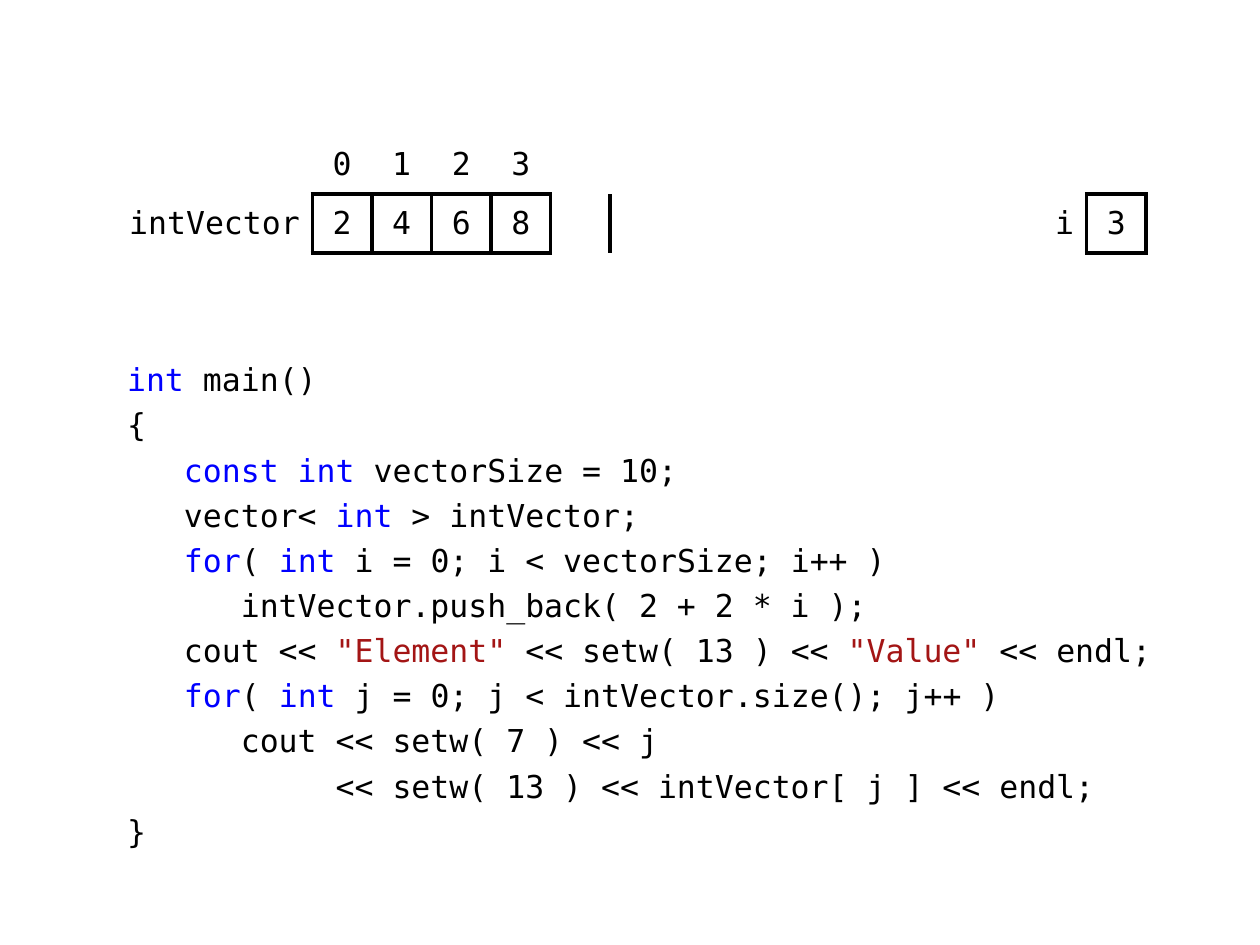
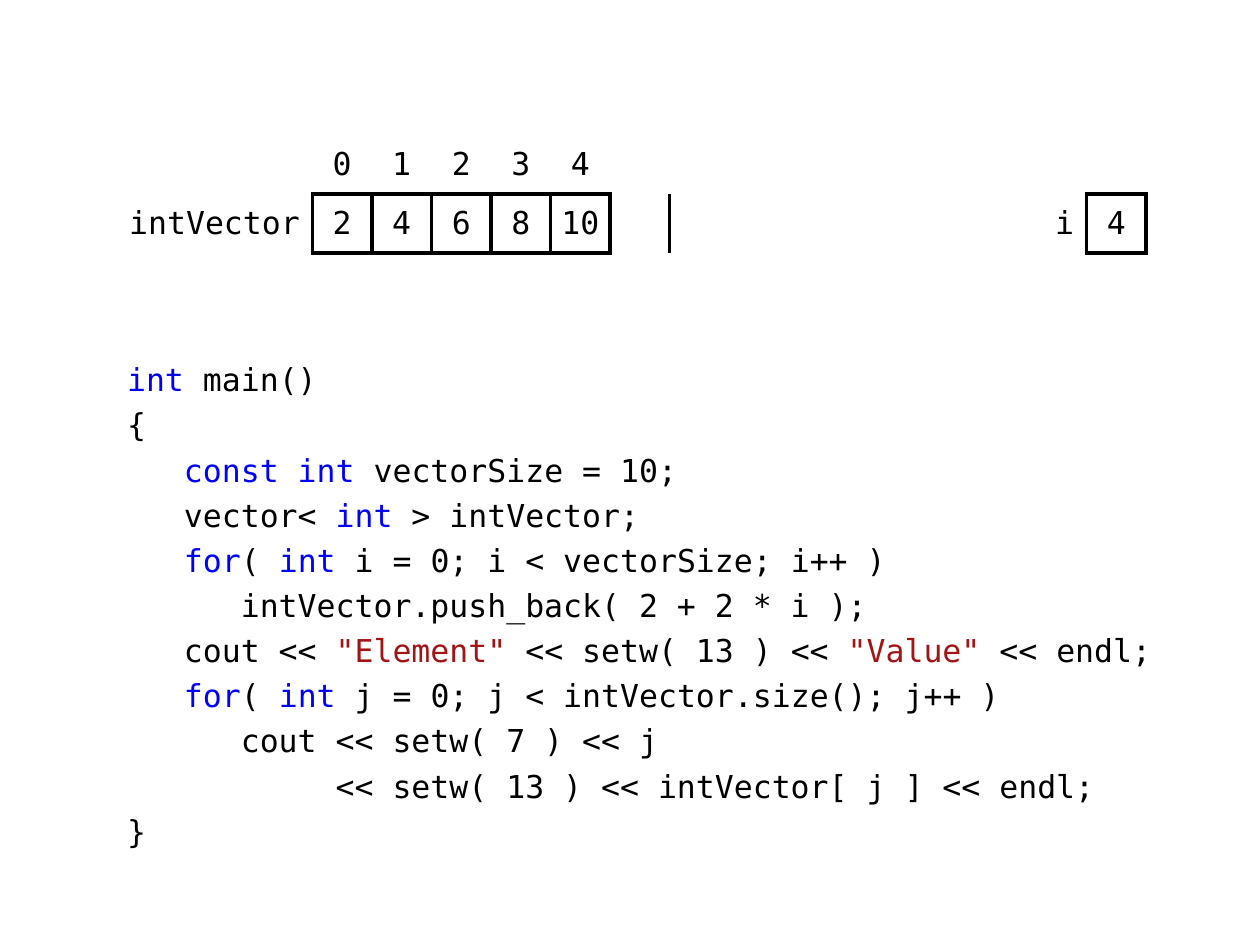
from itertools import groupby

from lxml.etree import SubElement
from pptx import Presentation
from pptx.dml.color import RGBColor
from pptx.enum.text import MSO_ANCHOR as Anchor, PP_ALIGN as Align
from pptx.oxml.ns import qn
from pptx.util import Inches, Pt

COLOURS = {"text": "000000", "keyword": "0000FF", "string": "A31515"}
FONT = "DejaVu Sans Mono"
FONT_SIZE = 18
BORDER_WIDTH = 2.25
NO_GRID_STYLE = "{2D5ABB26-0587-4C30-8999-92F81FD0307C}"

# Regions: left, top, width, height
MEMORY_BOX = (0.91, 1.07, 8.19, 0.94)
CODE_BOX = (0.91, 2.81, 8.35, 4.09)

# Memory table layout
CAPACITY = 10
VECTOR_LABEL_WIDTH = 1.57
COUNTER_LABEL_WIDTH = 1.42

KEYWORDS = {"int", "const", "for"}
CODE = """\
int main()
{
   const int vectorSize = 10;
   vector< int > intVector;
   for( int i = 0; i < vectorSize; i++ )
      intVector.push_back( 2 + 2 * i );
   cout << "Element" << setw( 13 ) << "Value" << endl;
   for( int j = 0; j < intVector.size(); j++ )
      cout << setw( 7 ) << j
           << setw( 13 ) << intVector[ j ] << endl;
}"""


def add_text(paragraph, text, colour="text", align=Align.LEFT):
    paragraph.alignment = align
    run = paragraph.add_run()
    run.text = text
    run.font.name = FONT
    run.font.size = Pt(FONT_SIZE)
    run.font.color.rgb = RGBColor.from_string(COLOURS[colour])


def tokens(line):
    """Yield (text, colour) for each word, gap and quoted string."""
    for number, part in enumerate(line.split('"')):
        if number % 2:
            yield f'"{part}"', "string"
            continue
        for _, characters in groupby(part, str.isalnum):
            word = "".join(characters)
            yield word, "keyword" if word in KEYWORDS else "text"


def add_code(slide, box):
    frame = slide.shapes.add_textbox(*map(Inches, box)).text_frame
    frame.word_wrap = True
    for number, line in enumerate(CODE.splitlines()):
        paragraph = frame.add_paragraph() if number else frame.paragraphs[0]
        paragraph.space_before = Pt(4.2 if number else 0)
        for colour, group in groupby(tokens(line), lambda token: token[1]):
            add_text(paragraph, "".join(text for text, _ in group), colour)


def set_borders(cell, sides):
    properties = cell._tc.get_or_add_tcPr()
    for side in sides:
        line = SubElement(properties, qn(f"a:ln{side}"), w=str(Pt(BORDER_WIDTH)))
        fill = SubElement(line, qn("a:solidFill"))
        SubElement(fill, qn("a:srgbClr"), val=COLOURS["text"])


def fill_cell(cell, text, borders="", align=Align.CENTER, side_margin=0.08):
    cell.vertical_anchor = Anchor.MIDDLE
    cell.margin_left = cell.margin_right = Inches(side_margin)
    cell.margin_top = cell.margin_bottom = Inches(0.04)
    set_borders(cell, borders)
    add_text(cell.text_frame.paragraphs[0], text, align=align)


def add_memory(slide, box, counter):
    columns = CAPACITY + 3
    table = slide.shapes.add_table(2, columns, *map(Inches, box)).table
    table.first_row = table.horz_banding = False
    table._tbl.tblPr.find(qn("a:tableStyleId")).text = NO_GRID_STYLE

    # Square cells share the width the two labels leave
    cell_width = (box[2] - VECTOR_LABEL_WIDTH - COUNTER_LABEL_WIDTH) / (CAPACITY + 1)
    widths = [VECTOR_LABEL_WIDTH] + [cell_width] * CAPACITY
    widths += [COUNTER_LABEL_WIDTH, cell_width]
    for column, width in zip(table.columns, widths):
        column.width = Inches(width)

    # Vector: indices above, elements below
    fill_cell(table.cell(1, 0), "intVector", "R", Align.RIGHT, 0.1)
    for index in range(counter + 1):
        fill_cell(table.cell(0, index + 1), str(index), "B")
        fill_cell(table.cell(1, index + 1), str(2 + 2 * index), "LRTB")
    set_borders(table.cell(1, counter + 2), "L")

    # Loop counter
    fill_cell(table.cell(1, columns - 2), "i", "R", Align.RIGHT, 0.1)
    fill_cell(table.cell(1, columns - 1), str(counter), "LRTB", side_margin=0.1)
    set_borders(table.cell(0, columns - 1), "B")

    for cell in table.iter_cells():
        cell.fill.background()


def add_step_slide(presentation, counter):
    slide = presentation.slides.add_slide(presentation.slide_layouts[6])
    add_code(slide, CODE_BOX)
    add_memory(slide, MEMORY_BOX, counter)


def main():
    presentation = Presentation()
    presentation.slide_width = Inches(10)
    presentation.slide_height = Inches(7.5)
    for counter in (3, 4):
        add_step_slide(presentation, counter)
    presentation.save("out.pptx")


if __name__ == "__main__":
    main()
